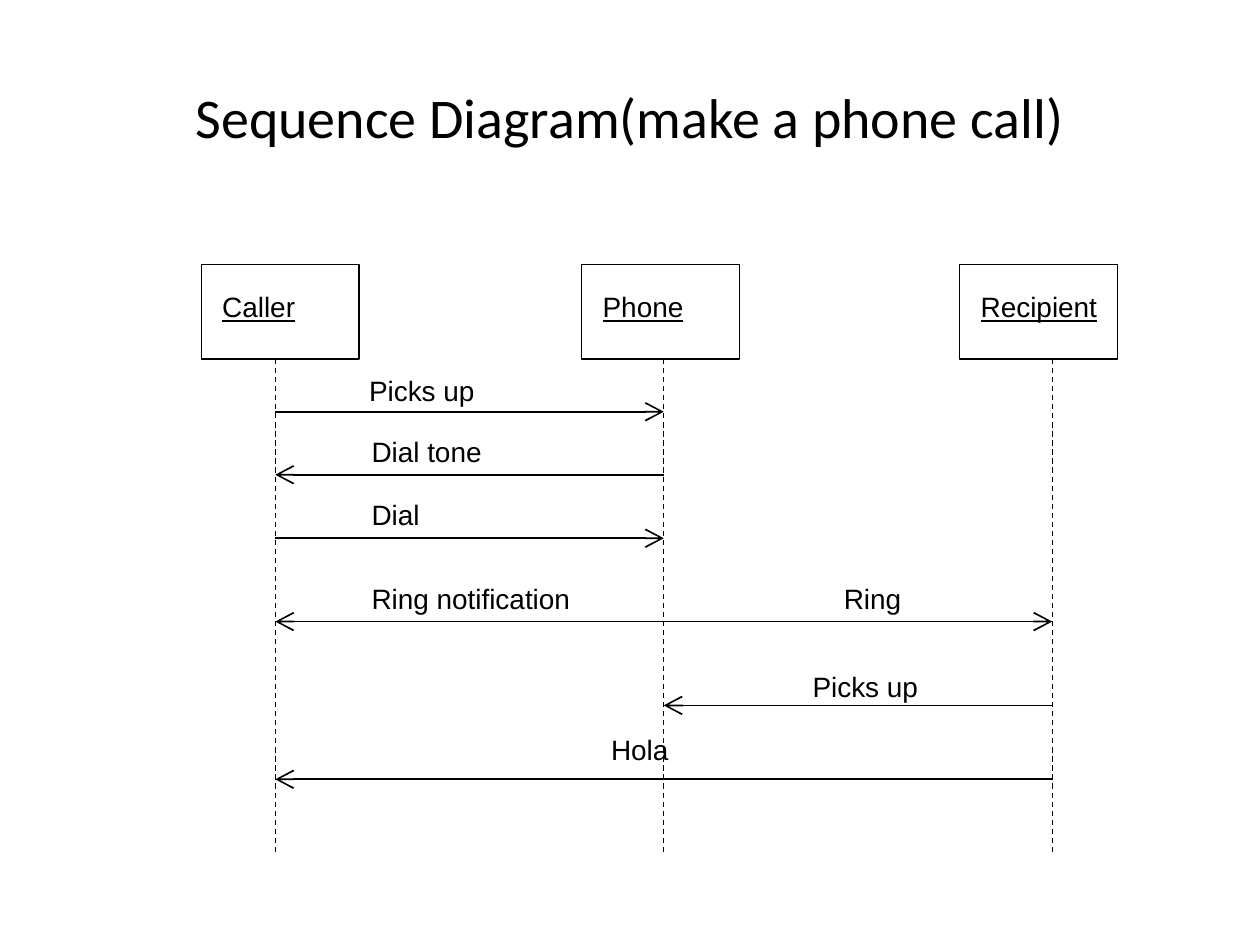
from dataclasses import dataclass
from pptx import Presentation
from pptx.dml.color import RGBColor
from pptx.enum.dml import MSO_LINE_DASH_STYLE as Dash
from pptx.enum.shapes import MSO_CONNECTOR as Connector, MSO_SHAPE as Shape
from pptx.enum.text import MSO_ANCHOR as Anchor, MSO_AUTO_SIZE as AutoSize, PP_ALIGN as Align
from pptx.oxml.ns import qn
from pptx.util import Cm, Pt
from lxml.etree import SubElement


@dataclass(frozen=True)
class Theme:
    ink: RGBColor = RGBColor(0, 0, 0)
    title_font: str = "Calibri"
    label_font: str = "Arial"
    title_size: Pt = Pt(32)
    label_size: Pt = Pt(16)
    thin: Pt = Pt(0.75)
    thick: Pt = Pt(1)


theme = Theme()
presentation = Presentation()
presentation.slide_width, presentation.slide_height = Cm(25.4), Cm(19.05)
slide = presentation.slides.add_slide(presentation.slide_layouts[6])


def add_text(text, left, top, width, height=0.94, font=theme.label_font, size=theme.label_size,
             align=Align.LEFT, anchor=Anchor.TOP, wrap=False, underline=False):
    box = slide.shapes.add_textbox(Cm(left), Cm(top), Cm(width), Cm(height))
    frame = box.text_frame
    frame.word_wrap = wrap
    frame.auto_size = AutoSize.NONE if wrap else AutoSize.SHAPE_TO_FIT_TEXT
    frame.vertical_anchor = anchor
    paragraph = frame.paragraphs[0]
    paragraph.alignment = align
    run = paragraph.add_run()
    run.text = text
    run.font.name, run.font.size = font, size
    run.font.color.rgb = theme.ink
    run.font.underline = underline


def add_line(start_x, start_y, end_x, end_y, width=theme.thick, dash=None, arrow=False):
    connector = slide.shapes.add_connector(
        Connector.STRAIGHT, Cm(start_x), Cm(start_y), Cm(end_x), Cm(end_y))
    connector.line.color.rgb = theme.ink
    connector.line.width = width
    if dash:
        connector.line.dash_style = dash
    if arrow:
        SubElement(connector.line._get_or_add_ln(), qn("a:tailEnd"), type="arrow", w="lg", len="lg")
    SubElement(connector._element.spPr, qn("a:effectLst"))


add_text("Sequence Diagram(make a phone call)", 1.27, 0.76, 22.86, 3.18, font=theme.title_font,
         size=theme.title_size, align=Align.CENTER, anchor=Anchor.MIDDLE, wrap=True)

box_top, box_width, box_height = 5.33, 3.18, 1.91
lifeline_top, lifeline_bottom = box_top + box_height, 17.2
caller, phone, recipient = 5.55, 13.38, 21.21

participants = [
    ("Caller", 4.06, 1.98, caller),
    ("Phone", 11.73, 2.13, phone),
    ("Recipient", 19.35, 2.95, recipient),
]
for name, left, name_width, lifeline in participants:
    box = slide.shapes.add_shape(
        Shape.RECTANGLE, Cm(left), Cm(box_top), Cm(box_width), Cm(box_height))
    box.shadow.inherit = False
    box.fill.background()
    box.line.color.rgb = theme.ink
    box.line.width = theme.thin
    add_text(name, left + 0.17, box_top + 0.39, name_width, underline=True)
    add_line(lifeline, lifeline_top, lifeline, lifeline_bottom, width=theme.thin, dash=Dash.DASH)

messages = [
    ("Picks up", caller, phone, 8.3, 7.19, 7.41, 2.64),
    ("Dial tone", phone, caller, 9.57, 7.24, 8.64, 2.74),
    ("Dial", caller, phone, 10.85, 7.24, 9.91, 1.47),
    ("Ring notification", phone, caller, 12.53, 7.24, 11.6, 4.52),
    ("Ring", phone, recipient, 12.53, 16.76, 11.6, 1.68),
    ("Picks up", recipient, phone, 14.22, 16.13, 13.38, 2.64),
    ("Hola", recipient, caller, 15.71, 12.07, 14.65, 1.68),
]
for label, sender, receiver, arrow_y, label_left, label_top, label_width in messages:
    add_line(sender, arrow_y, receiver, arrow_y, arrow=True)
    add_text(label, label_left, label_top, label_width)

presentation.save("out.pptx")
